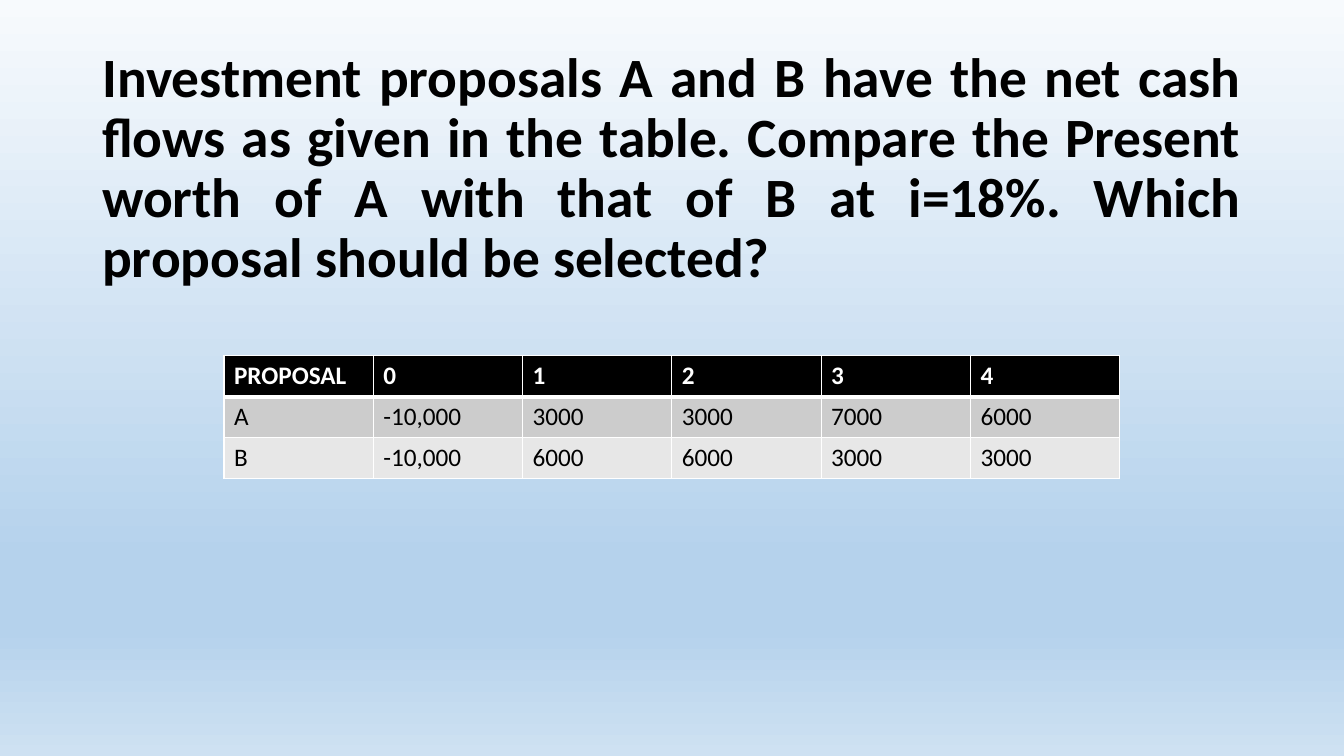
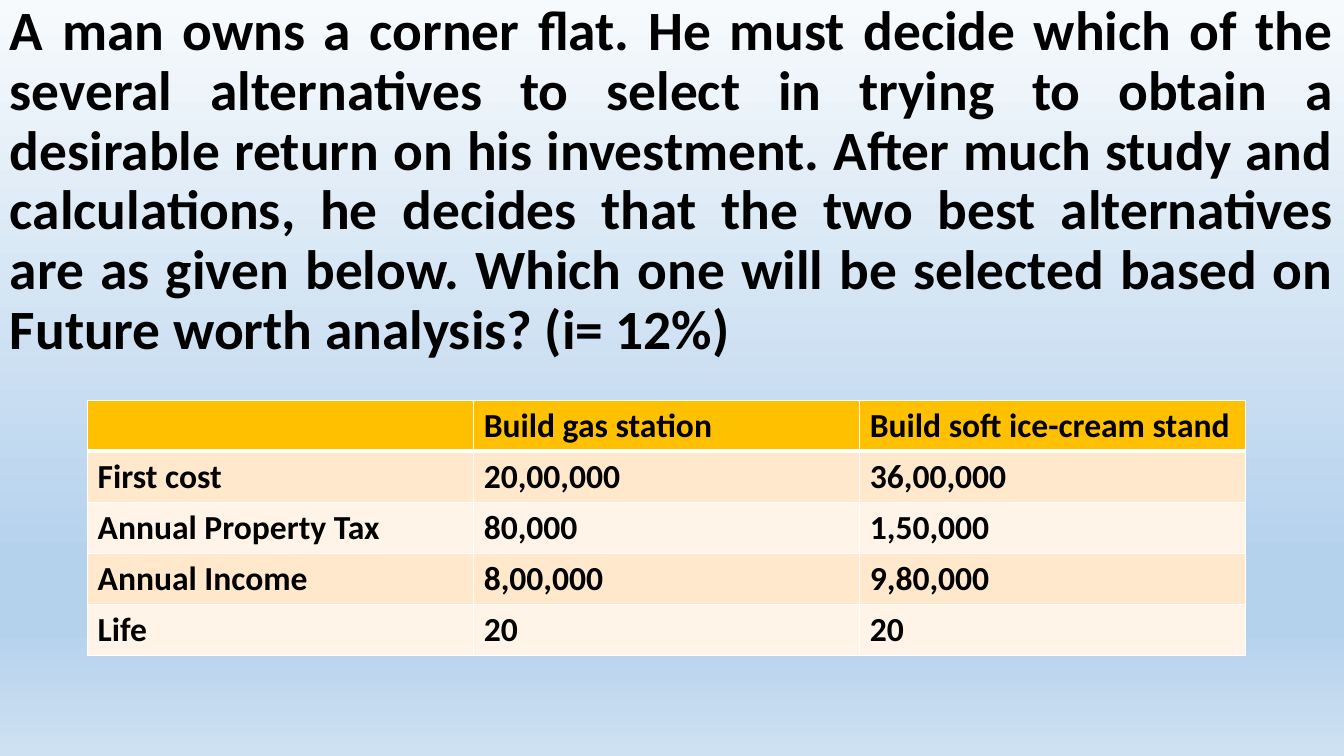
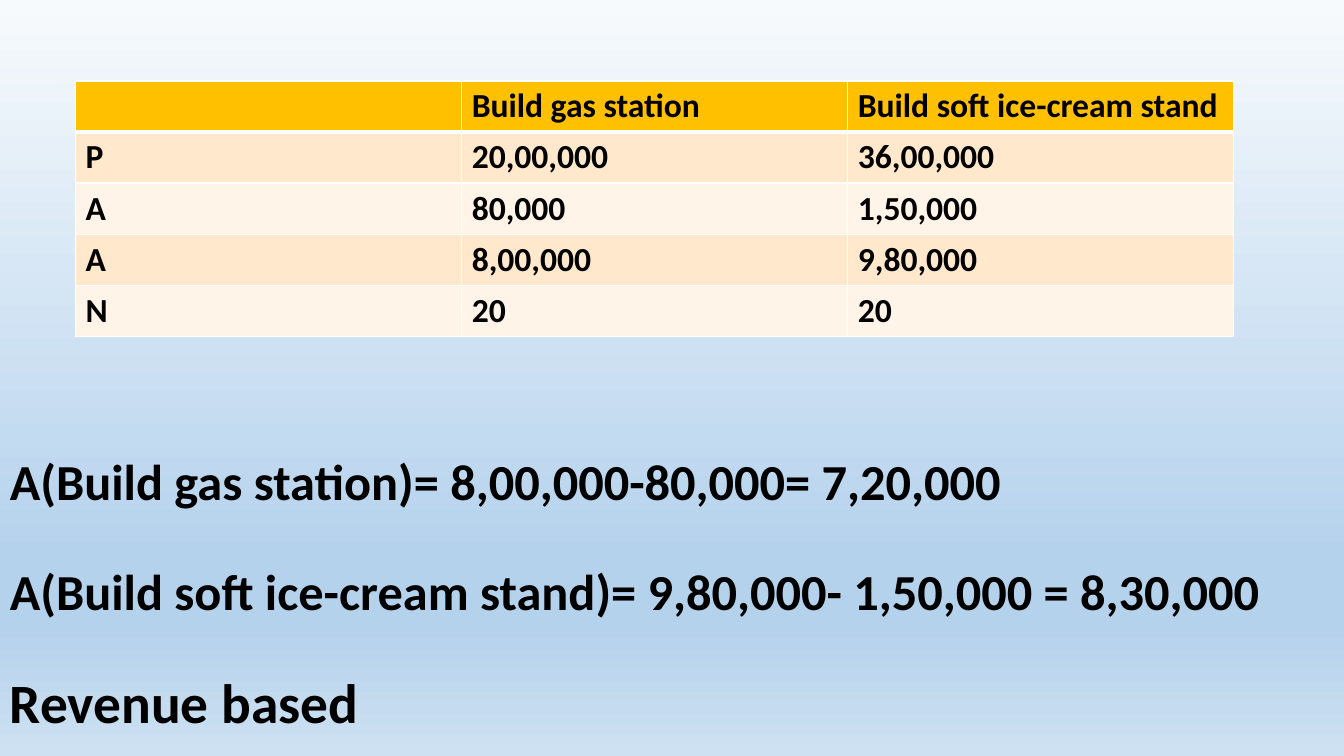
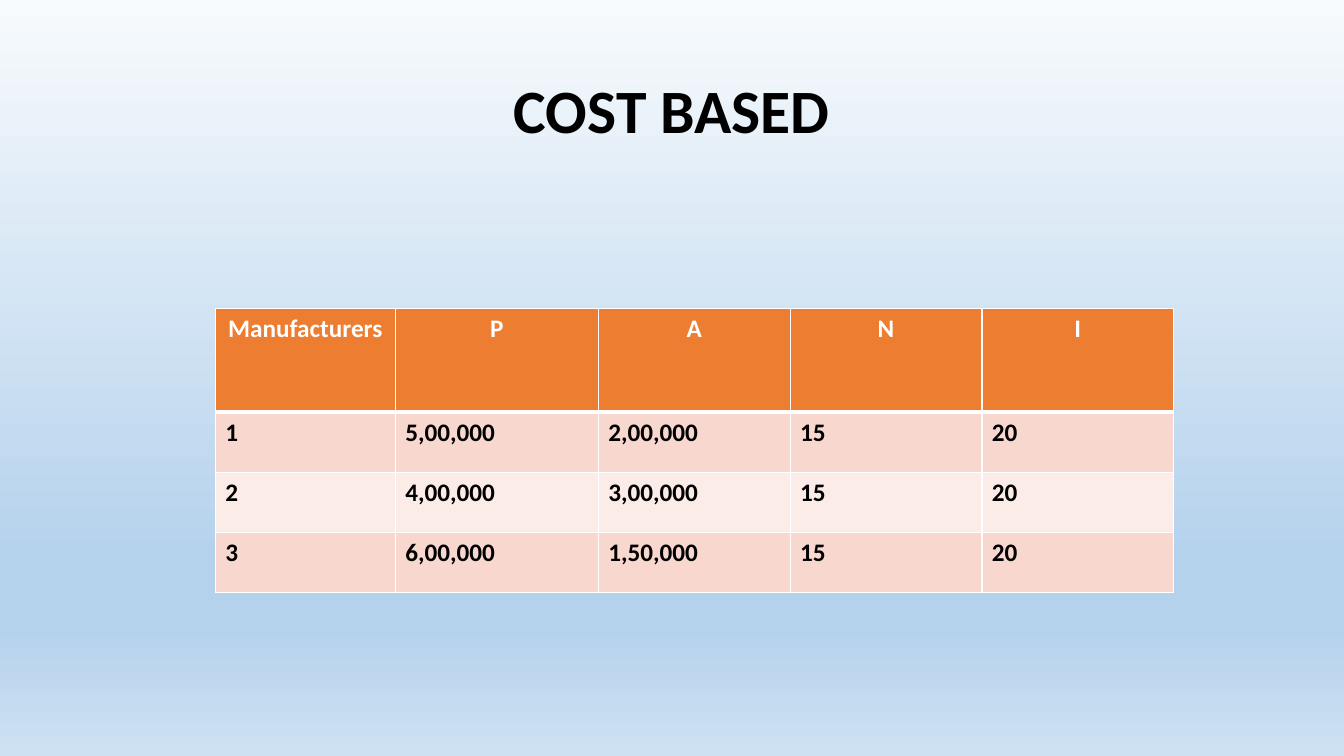
from lxml import etree
from pptx import Presentation
from pptx.dml.color import RGBColor
from pptx.enum.text import MSO_ANCHOR, PP_ALIGN
from pptx.oxml.ns import qn
from pptx.util import Pt

LEFT, CENTER, JUSTIFY = PP_ALIGN.LEFT, PP_ALIGN.CENTER, PP_ALIGN.JUSTIFY
MIDDLE = MSO_ANCHOR.MIDDLE

WIDTH, HEIGHT = 960, 540
BLANK_LAYOUT = 6
BLACK, WHITE = "000000", "FFFFFF"
BACKGROUND_STOPS = [(0, "F7FAFD"), (74, "B5D2EC"), (83, "B5D2EC"), (100, "CEE1F2")]
GRAY_BANDS = (BLACK, "CCCCCC", "E7E7E7")
YELLOW_BANDS = ("FFC000", "FFE8CC", "FFF4E7")
ORANGE_BANDS = ("ED7D31", "F8D7CE", "FCECE8")
THIN, THICK = 1, 3


def color(hex_string):
    return RGBColor.from_string(hex_string)


class Deck:
    font_name = "Calibri"
    title_size = 39.6

    def __init__(self):
        self.presentation = Presentation()
        self.presentation.slide_width = Pt(WIDTH)
        self.presentation.slide_height = Pt(HEIGHT)
        self.slide = None
        self.paint_background()

    def paint_background(self):
        master = self.presentation.slide_master
        fill = master.background.fill
        fill.gradient()
        fill.gradient_angle = 270
        stop_list = next(master.element.iter(qn("a:gsLst")))
        for stop in list(stop_list):
            stop_list.remove(stop)
        for percent, hex_string in BACKGROUND_STOPS:
            stop = etree.SubElement(stop_list, qn("a:gs"), pos=str(percent * 1000))
            etree.SubElement(stop, qn("a:srgbClr"), val=hex_string)

    def add_slide(self):
        layout = self.presentation.slide_layouts[BLANK_LAYOUT]
        self.slide = self.presentation.slides.add_slide(layout)

    def format_runs(self, paragraph, size, hex_string, bold):
        for run in paragraph.runs:
            run.font.name = self.font_name
            run.font.size = Pt(size)
            run.font.bold = bold
            run.font.color.rgb = color(hex_string)

    def title(self, left, top, width, height, lines, alignment, sizes=(title_size,), gap=0):
        shape = self.slide.shapes.add_textbox(Pt(left), Pt(top), Pt(width), Pt(height))
        text_frame = shape.text_frame
        text_frame.word_wrap = True
        text_frame.vertical_anchor = MIDDLE
        text_frame.text = "\n".join(lines)
        for index, (paragraph, size) in enumerate(zip(text_frame.paragraphs, sizes)):
            paragraph.alignment = alignment
            paragraph.line_spacing = 0.9
            paragraph.space_before = Pt(gap if index else 0)
            self.format_runs(paragraph, size, BLACK, True)

    def cell_borders(self, cell, top, bottom):
        properties = cell._tc.get_or_add_tcPr()
        for side, width in (("L", THIN), ("R", THIN), ("T", top), ("B", bottom)):
            line = etree.SubElement(properties, qn(f"a:ln{side}"), w=str(Pt(width)))
            fill = etree.SubElement(line, qn("a:solidFill"))
            etree.SubElement(fill, qn("a:srgbClr"), val=WHITE)

    def table(self, left, top, column_widths, row_heights, rows, bands, size,
              header_color=WHITE, header_alignment=LEFT, body_bold=True):
        frame = self.slide.shapes.add_table(
            len(rows), len(column_widths), Pt(left), Pt(top),
            Pt(sum(column_widths)), Pt(sum(row_heights)))
        table = frame.table
        for column, width in zip(table.columns, column_widths):
            column.width = Pt(width)
        for row, height in zip(table.rows, row_heights):
            row.height = Pt(height)
        header_fill, *body_fills = bands
        for row_index, values in enumerate(rows):
            is_header = row_index == 0
            band = header_fill if is_header else body_fills[(row_index - 1) % 2]
            for column_index, value in enumerate(values):
                cell = table.cell(row_index, column_index)
                self.cell_borders(cell, THICK if row_index == 1 else THIN,
                                  THICK if is_header else THIN)
                cell.fill.solid()
                cell.fill.fore_color.rgb = color(band)
                cell.text_frame.text = value
                paragraph = cell.text_frame.paragraphs[0]
                paragraph.alignment = header_alignment if is_header else LEFT
                self.format_runs(paragraph, size, header_color if is_header else BLACK,
                                 is_header or body_bold)

    def alternatives_table(self, left, top, labels):
        rows = [
            ("", "Build gas station", "Build soft ice-cream stand"),
            (labels[0], "20,00,000", "36,00,000"),
            (labels[1], "80,000", "1,50,000"),
            (labels[2], "8,00,000", "9,80,000"),
            (labels[3], "20", "20"),
        ]
        self.table(left, top, [275.8] * 3, [36.5] * 5, rows, YELLOW_BANDS, 24,
                   header_color=BLACK)


deck = Deck()

deck.add_slide()
deck.title(66, 28.8, 828, 185, [
    "Investment proposals A and B have the net cash flows as given in the table. "
    "Compare the Present worth of A with that of B at i=18%. "
    "Which proposal should be selected?"], JUSTIFY)
deck.table(160, 254.2, [640 / 6] * 6, [29.2] * 3, [
    ("PROPOSAL", "0", "1", "2", "3", "4"),
    ("A", "-10,000", "3000", "3000", "7000", "6000"),
    ("B", "-10,000", "6000", "6000", "3000", "3000"),
], GRAY_BANDS, 18, body_bold=False)

deck.add_slide()
deck.title(0, 0, WIDTH, 260, [
    "A man owns a corner flat. He must decide which of the several alternatives "
    "to select in trying to obtain a desirable return on his investment. After much "
    "study and calculations, he decides that the two best alternatives are as given "
    "below. Which one will be selected based on Future worth analysis? (i= 12%)"], JUSTIFY)
deck.alternatives_table(
    62.6, 285.8, ("First cost", "Annual Property Tax", "Annual Income", "Life"))

deck.add_slide()
deck.title(0, 312, WIDTH, 228, [
    "A(Build gas station)= 8,00,000-80,000= 7,20,000",
    "A(Build soft ice-cream stand)= 9,80,000- 1,50,000 = 8,30,000",
    "Revenue based"], LEFT, sizes=(36, 36, Deck.title_size), gap=39)
deck.alternatives_table(54, 57.8, ("P", "A", "A", "N"))

deck.add_slide()
deck.title(66, 28.8, 828, 104.4, ["COST BASED"], CENTER, sizes=(44,))
deck.table(153.8, 220.3, [128.6, 145, 137, 137, 137], [74.2, 43, 43, 43], [
    ("Manufacturers", "P", "A", "N", "I"),
    ("1", "5,00,000", "2,00,000", "15", "20"),
    ("2", "4,00,000", "3,00,000", "15", "20"),
    ("3", "6,00,000", "1,50,000", "15", "20"),
], ORANGE_BANDS, 18, header_alignment=CENTER)

deck.presentation.save("out.pptx")
